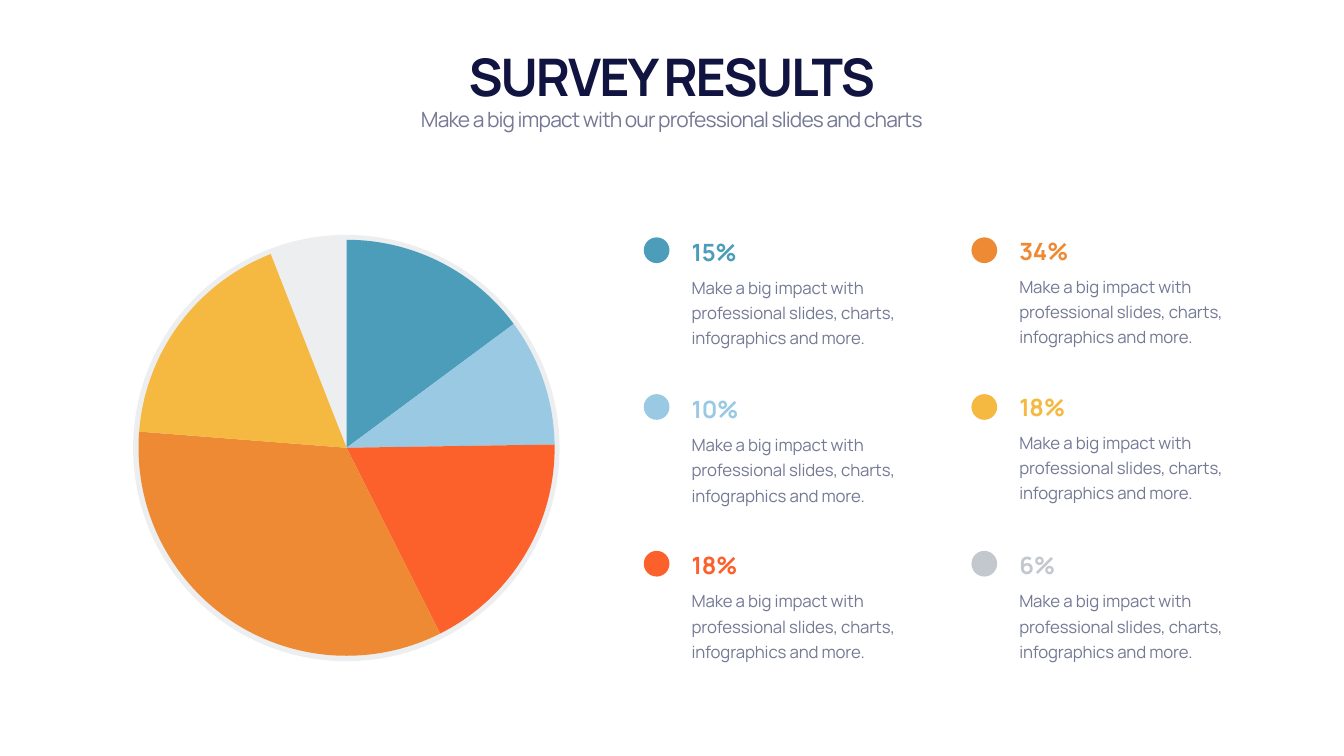
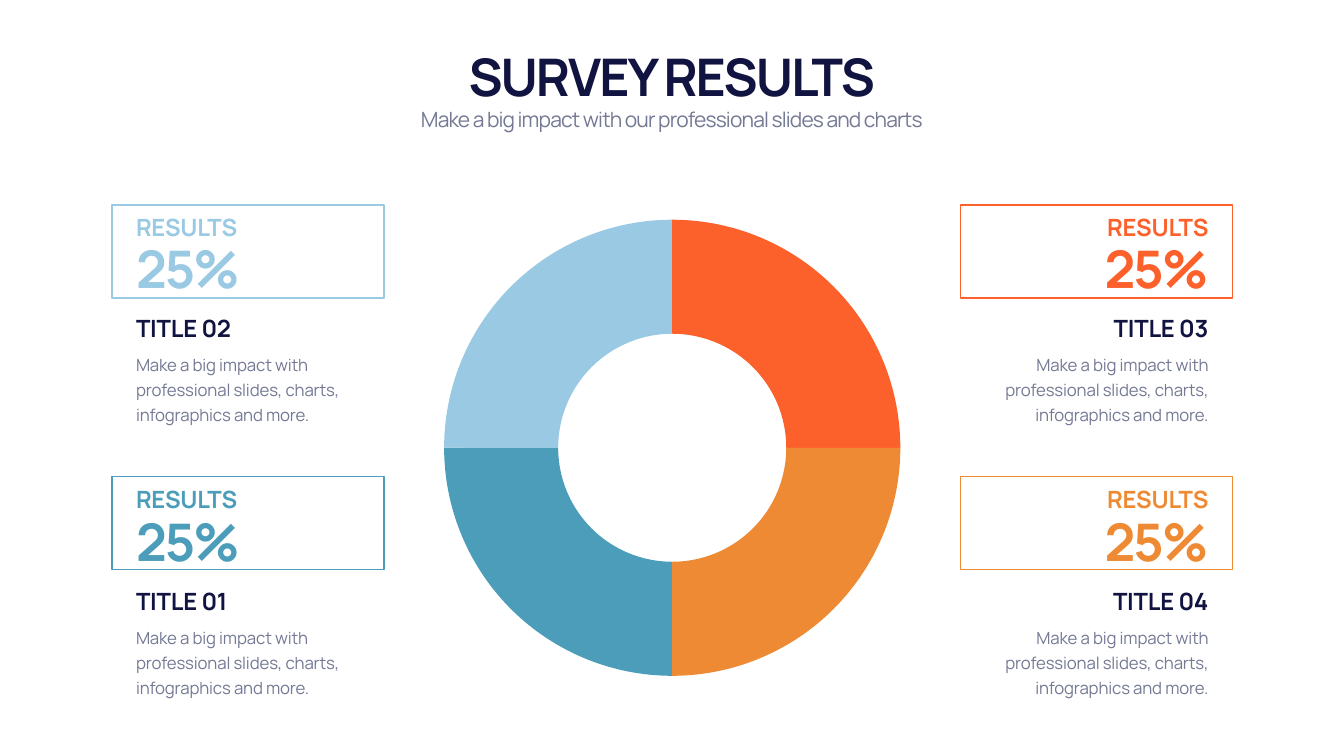
from dataclasses import dataclass

from lxml import etree
from pptx import Presentation
from pptx import util as u
from pptx.chart.data import CategoryChartData
from pptx.dml.color import RGBColor
from pptx.enum import chart as charts, shapes, text
from pptx.oxml import ns


@dataclass(frozen=True)
class Type:
    size: float
    spacing: float
    bold: bool = False
    leading: float | None = None


@dataclass(frozen=True)
class Theme:
    font: str = "Manrope"
    chart_font: str = "Calibri"
    chart_size: float = 10

    navy: str = "111340"
    slate: str = "747994"
    teal: str = "4B9DB9"
    sky: str = "9AC9E3"
    red: str = "FC612B"
    orange: str = "ED8A33"
    yellow: str = "F5B841"
    silver: str = "C3C8CE"

    display: Type = Type(74, -2.9, bold=True)
    subtitle: Type = Type(30, -1.2)
    heading: Type = Type(34, -0.3, bold=True)
    body: Type = Type(24, -0.2, leading=36)


# The grid has square cells, so one column is as wide as one row is high.
COLUMNS, ROWS = 26.66, 15
CELL = u.Inches(1)
PLOT_SHARE = 0.97

LEFT, CENTER, RIGHT = (text.PP_ALIGN.LEFT, text.PP_ALIGN.CENTER,
                       text.PP_ALIGN.RIGHT)
TOP, BOTTOM = text.MSO_ANCHOR.TOP, text.MSO_ANCHOR.BOTTOM

TITLE = "SURVEY RESULTS"
SUBTITLE = "Make a big impact with our professional slides and charts"
BLURB = ("Make a big impact with professional slides, charts, "
         "infographics and more.")


def cells(*lengths):
    return [round(length * CELL) for length in lengths]


def rgb(color):
    return RGBColor.from_string(color)


def add_xml(parent, tag, **attributes):
    return etree.SubElement(parent, ns.qn(tag), attributes)


class Deck:
    """Holds the theme and the slide that elements are added to."""

    def __init__(self, theme):
        self.theme = theme
        self.presentation = Presentation()
        (self.presentation.slide_width,
         self.presentation.slide_height) = cells(COLUMNS, ROWS)
        self.slide = None

    def new_slide(self):
        blank = self.presentation.slide_layouts[6]
        self.slide = self.presentation.slides.add_slide(blank)
        theme = self.theme
        self.label(TITLE, theme.display, theme.navy,
                   (1.66, 0.82, 23.33, 1.35), CENTER, BOTTOM)
        self.label(SUBTITLE, theme.subtitle, theme.slate,
                   (1.66, 2.07, 23.33, 0.61), CENTER)

    def label(self, words, style, color, box, align=LEFT, anchor=TOP):
        shape = self.slide.shapes.add_textbox(*cells(*box))
        frame = shape.text_frame
        frame.word_wrap = True
        frame.auto_size = text.MSO_AUTO_SIZE.SHAPE_TO_FIT_TEXT
        frame.vertical_anchor = anchor
        paragraph = frame.paragraphs[0]
        paragraph.alignment = align
        if style.leading:
            paragraph.line_spacing = u.Pt(style.leading)
        run = paragraph.add_run()
        run.text = words
        font = run.font
        font.name, font.size, font.bold = (self.theme.font, u.Pt(style.size),
                                           style.bold)
        font.color.rgb = rgb(color)
        run._r.get_or_add_rPr().set("spc", str(round(style.spacing * 100)))

    def heading(self, words, color, left, top, width, align=LEFT):
        self.label(words, self.theme.heading, color, (left, top, width, 0.67),
                   align, BOTTOM)

    def blurb(self, left, top, width, align=LEFT):
        self.label(BLURB, self.theme.body, self.theme.slate,
                   (left, top, width, 1.59), align)

    def disc(self, left, top, diameter, color, opacity=None):
        shape = self.slide.shapes.add_shape(
            shapes.MSO_SHAPE.OVAL, *cells(left, top, diameter, diameter))
        shape.shadow.inherit = False
        shape.fill.solid()
        shape.fill.fore_color.rgb = rgb(color)
        shape.line.fill.background()
        if opacity is not None:
            tint = shape._element.spPr.find(".//" + ns.qn("a:srgbClr"))
            add_xml(tint, "a:alpha", val=str(round(opacity * 100000)))

    def frame(self, left, top, width, height, color):
        shape = self.slide.shapes.add_shape(
            shapes.MSO_SHAPE.RECTANGLE, *cells(left, top, width, height))
        shape.shadow.inherit = False
        shape.fill.background()
        shape.line.color.rgb = rgb(color)
        shape.line.width = u.Pt(2)

    def round_chart(self, kind, left, top, diameter, slices):
        """Add a pie or doughnut; slices are (value, color or None) pairs."""
        data = CategoryChartData()
        data.categories = [str(i + 1) for i in range(len(slices))]
        data.add_series("Series 1", [value for value, _ in slices])
        chart = self.slide.shapes.add_chart(
            kind, *cells(left, top, diameter, diameter), data).chart
        chart.has_legend = chart.has_title = False
        chart.font.name = self.theme.chart_font
        chart.font.size = u.Pt(self.theme.chart_size)
        chart.font.color.rgb = rgb(self.theme.slate)
        plot = chart.plots[0]
        plot.vary_by_categories = True
        plot.has_data_labels = False
        for index, (_, color) in enumerate(slices):
            style = plot.series[0].points[index].format
            style.line.fill.background()
            if color is None:
                style.fill.background()
            else:
                style.fill.solid()
                style.fill.fore_color.rgb = rgb(color)
        self.fit_plot(chart)
        return chart

    @staticmethod
    def fit_plot(chart):
        """Centre the plot so that it fills nearly the whole chart."""
        area = chart._chartSpace.chart.plotArea
        for old in area.findall(ns.qn("c:layout")):
            area.remove(old)
        layout = etree.Element(ns.qn("c:layout"))
        area.insert(0, layout)
        manual = add_xml(layout, "c:manualLayout")
        margin = (1 - PLOT_SHARE) / 2
        for tag, value in (("layoutTarget", "inner"), ("xMode", "edge"),
                           ("yMode", "edge"), ("x", margin), ("y", margin),
                           ("w", PLOT_SHARE), ("h", PLOT_SHARE)):
            add_xml(manual, "c:" + tag, val=str(value))


def build_pie_slide(deck):
    theme = deck.theme
    deck.new_slide()
    deck.disc(2.64, 4.66, 8.46, theme.silver, opacity=0.3)
    deck.round_chart(charts.XL_CHART_TYPE.PIE, 2.62, 4.63, 8.51, [
        (15, theme.teal), (10, theme.sky), (18, theme.red),
        (34, theme.orange), (18, theme.yellow), (6, None)])

    legend = [
        (12.77, [(15, theme.teal, 4.66), (10, theme.sky, 7.78),
                 (18, theme.red, 10.88)]),
        (19.27, [(34, theme.orange, 4.64), (18, theme.yellow, 7.73),
                 (6, theme.silver, 10.88)]),
    ]
    for left, entries in legend:
        for row, (share, color, top) in enumerate(entries):
            deck.disc(left, 4.71 + 3.11 * row, 0.51, color)
            deck.heading(f"{share}%", color, left + 0.85, top, 4.59)
            deck.blurb(left + 0.85, top + 0.7, 4.59)


def build_doughnut_slide(deck):
    theme = deck.theme
    deck.new_slide()
    left_column, right_column = (2.22, LEFT), (19.05, RIGHT)
    upper, lower = (4.07, 4.16), (9.46, 9.57)
    results = [
        ("TITLE 01", theme.teal, left_column, lower),
        ("TITLE 02", theme.sky, left_column, upper),
        ("TITLE 03", theme.red, right_column, upper),
        ("TITLE 04", theme.orange, right_column, lower),
    ]
    for title, color, (left, align), (frame_top, top) in results:
        deck.frame(left, frame_top, 5.4, 1.84, color)
        text_left, width = left + 0.38, 4.64
        deck.heading("RESULTS", color, text_left, top, width, align)
        deck.label("25%", theme.display, color,
                   (text_left, top + 0.49, width, 1.35), align)
        deck.heading(title, theme.navy, text_left, top + 2.01, width, align)
        deck.blurb(text_left, top + 2.73, width, align)

    chart = deck.round_chart(
        charts.XL_CHART_TYPE.DOUGHNUT, 8.67, 4.22, 9.33,
        [(25, color) for _, color, _, _ in results])
    ring = chart._chartSpace.find(".//" + ns.qn("c:doughnutChart"))
    for tag, value in (("c:firstSliceAng", "180"), ("c:holeSize", "56")):
        setting = ring.find(ns.qn(tag))
        if setting is None:
            setting = add_xml(ring, tag)
        setting.set("val", value)


def main():
    deck = Deck(Theme())
    build_pie_slide(deck)
    build_doughnut_slide(deck)
    deck.presentation.save("out.pptx")


if __name__ == "__main__":
    main()
